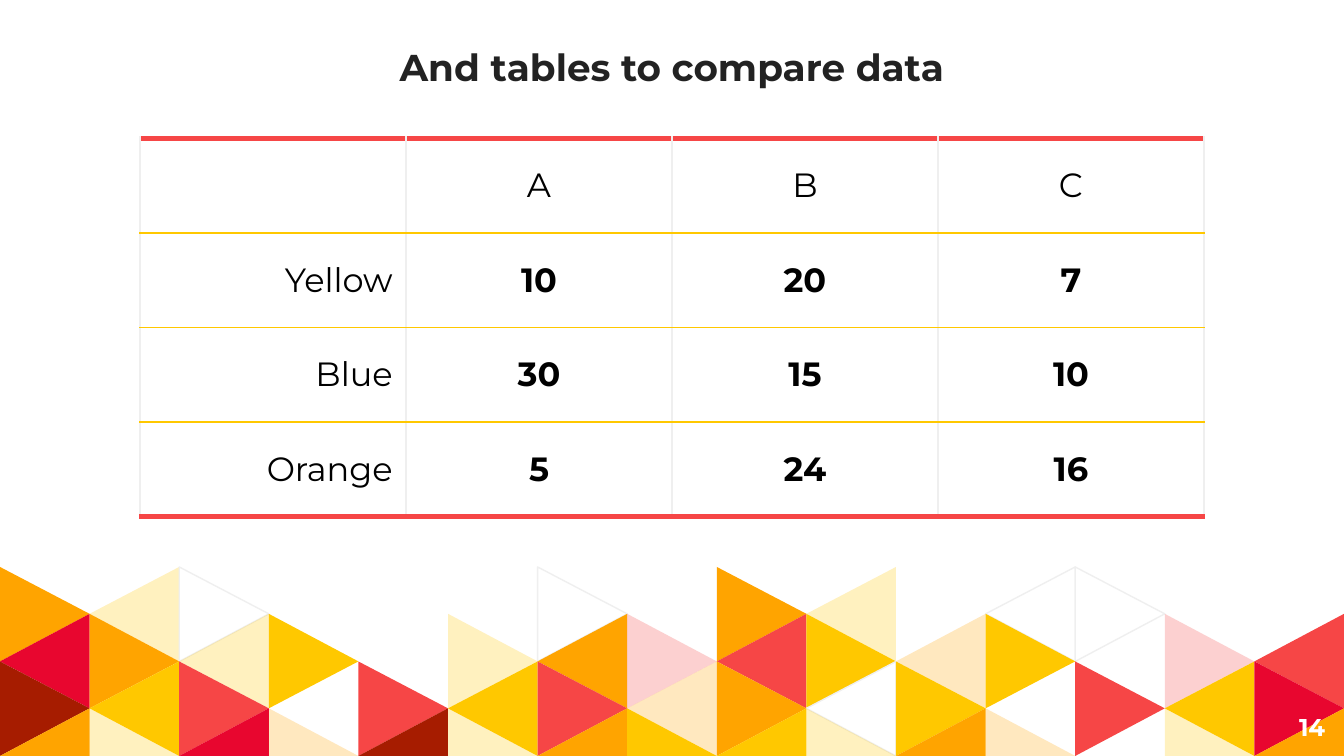
from dataclasses import dataclass

from lxml import etree
from pptx import Presentation
from pptx.dml.color import RGBColor
from pptx.enum import text
from pptx.oxml import ns
from pptx.util import Emu, Pt

SLIDE_W, SLIDE_H = 1920, 1080  # px
SCALE = 9144000 / SLIDE_W      # EMU per px


@dataclass(frozen=True)
class Theme:
    font: str = "Montserrat"
    title: str = "222222"
    ink: str = "000000"
    white: str = "FFFFFF"
    grid: str = "EFEFEF"
    red: str = "F64646"
    crimson: str = "E8062F"
    brown: str = "A61C00"
    orange: str = "FFA400"
    yellow: str = "FFC800"
    title_size: int = 20
    table_size: int = 18
    number_size: int = 13
    thin: float = 0.75
    thick: float = 3


THEME = Theme()

# Triangle mosaic: capitals are solid, small letters 25 % opaque, W outlined
TRIANGLE_W, TRIANGLE_H, MOSAIC_TOP = 128, 135, 810
MOSAIC = ["OyW...W.Oy.WW..",
          "COyY.yOrRYoY.rR",
          "BYR.RYRoOWY.RYC",
          "OyCoByOYYyOo.yO"]
MOSAIC_COLOURS = {"O": THEME.orange, "Y": THEME.yellow, "R": THEME.red,
                  "C": THEME.crimson, "B": THEME.brown, "W": THEME.white}

TABLE = [["", "A", "B", "C"],
         ["Yellow", "10", "20", "7"],
         ["Blue", "30", "15", "10"],
         ["Orange", "5", "24", "16"]]


def px(n):
    return Emu(round(n * SCALE))


def place(sp, *box):
    sp.left, sp.top, sp.width, sp.height = map(px, box)


def style_text(tf, size, colour, align, bold=False):
    p = tf.paragraphs[0]
    p.alignment = align
    for r in p.runs:
        r.font.name, r.font.size, r.font.bold = THEME.font, Pt(size), bold
        r.font.color.rgb = RGBColor.from_string(colour)


def add_triangle(slide, col, row, code):
    x0, x1 = col * TRIANGLE_W, (col + 1) * TRIANGLE_W
    top, middle, bottom = (MOSAIC_TOP + (row + k) * TRIANGLE_H // 2 for k in range(3))
    # Triangles point right and left by turns; the last row is cut by the slide edge
    base, apex = (x0, x1) if (col + row) % 2 == 0 else (x1, x0)
    builder = slide.shapes.build_freeform(base, top, scale=SCALE)
    builder.add_line_segments([(apex, middle), (base, min(bottom, SLIDE_H))])
    sp = builder.convert_to_shape()
    sp.shadow.inherit = False
    sp.fill.solid()
    sp.fill.fore_color.rgb = RGBColor.from_string(MOSAIC_COLOURS[code.upper()])
    if code.islower():
        colour = sp.fill._xPr.find(".//" + ns.qn("a:srgbClr"))
        etree.SubElement(colour, ns.qn("a:alpha"), val="25000")
    if code == "W":
        sp.line.color.rgb = RGBColor.from_string(THEME.grid)
        sp.line.width = Pt(THEME.thin)
    else:
        sp.line.fill.background()


def add_mosaic(slide):
    for row, codes in enumerate(MOSAIC):
        for col, code in enumerate(codes):
            if code != ".":
                add_triangle(slide, col, row, code)


def add_title(slide, words):
    sp = slide.shapes.title
    place(sp, 0, 0, SLIDE_W, 146)
    tf = sp.text_frame
    tf.text = words
    tf.vertical_anchor = text.MSO_ANCHOR.BOTTOM
    tf.margin_left = tf.margin_right = tf.margin_top = tf.margin_bottom = px(19)
    style_text(tf, THEME.title_size, THEME.title, text.PP_ALIGN.CENTER, True)


def set_borders(cell, top, bottom):
    side = (THEME.grid, THEME.thin)
    tc_pr = cell._tc.get_or_add_tcPr()
    # Border elements come before the cell fill
    for i, (tag, (colour, width)) in enumerate(
            [("a:lnL", side), ("a:lnR", side), ("a:lnT", top), ("a:lnB", bottom)]):
        ln = etree.Element(ns.qn(tag), w=str(int(Pt(width))))
        fill = etree.SubElement(ln, ns.qn("a:solidFill"))
        etree.SubElement(fill, ns.qn("a:srgbClr"), val=colour)
        tc_pr.insert(i, ln)


def add_data_table(slide, rows, left, top, col_w, row_h):
    n_rows, n_cols = len(rows), len(rows[0])
    table = slide.shapes.add_table(n_rows, n_cols, px(left), px(top),
                                   px(col_w * n_cols), px(row_h * n_rows)).table
    table.first_row = table.horz_banding = False
    edge, rule = (THEME.red, THEME.thick), (THEME.yellow, THEME.thin)
    for i, row in enumerate(rows):
        for j, words in enumerate(row):
            cell = table.cell(i, j)
            cell.text = words
            cell.vertical_anchor = text.MSO_ANCHOR.MIDDLE
            cell.margin_left = cell.margin_right = px(19)
            cell.margin_top = cell.margin_bottom = px(14)
            cell.fill.background()
            set_borders(cell, edge if i == 0 else rule,
                        edge if i == n_rows - 1 else rule)
            align = text.PP_ALIGN.CENTER if j else text.PP_ALIGN.RIGHT
            style_text(cell.text_frame, THEME.table_size, THEME.ink, align,
                       i > 0 and j > 0)


def add_page_number(slide, number):
    tf = slide.shapes.add_textbox(*map(px, (1797, 997, 115, 83))).text_frame
    tf.word_wrap = True
    tf.text = number
    tf.vertical_anchor = text.MSO_ANCHOR.MIDDLE
    tf.margin_left = tf.margin_right = tf.margin_top = tf.margin_bottom = px(19)
    style_text(tf, THEME.number_size, THEME.white, text.PP_ALIGN.RIGHT, True)


def main():
    prs = Presentation()
    prs.slide_width, prs.slide_height = px(SLIDE_W), px(SLIDE_H)
    slide = prs.slides.add_slide(prs.slide_layouts[5])  # title only
    add_mosaic(slide)
    add_title(slide, "And tables to compare data")
    add_data_table(slide, TABLE, left=200, top=198, col_w=380, row_h=135)
    add_page_number(slide, "14")
    prs.save("out.pptx")


if __name__ == "__main__":
    main()
